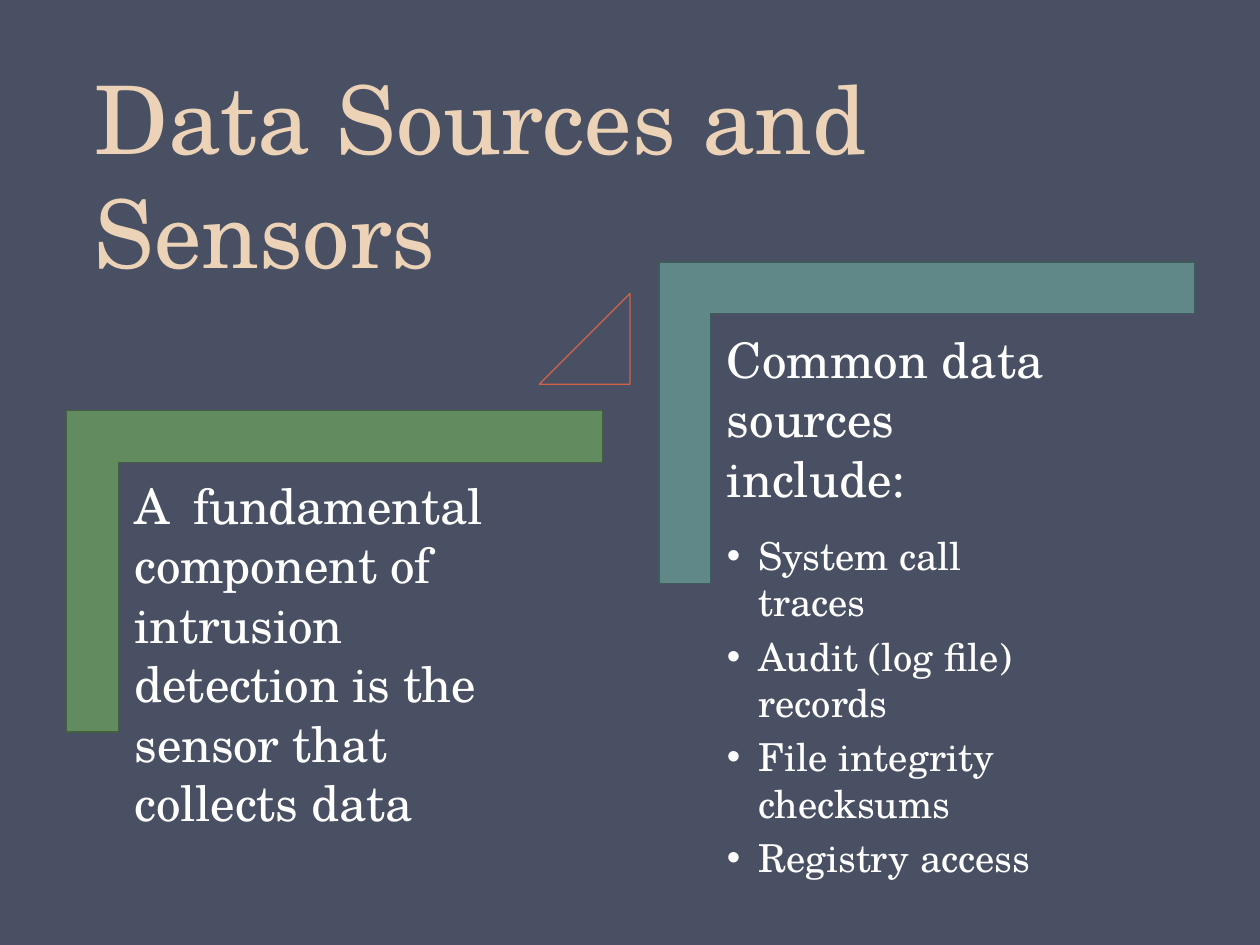
from lxml.etree import SubElement
from pptx import Presentation
from pptx.dml.color import RGBColor
from pptx.enum.text import MSO_ANCHOR, MSO_AUTO_SIZE, PP_ALIGN
from pptx.oxml.ns import qn
from pptx.util import Inches, Pt

FONT = "TeX Gyre Schola"
WHITE = "FFFFFF"


def set_color(color_format, hex_color):
    color_format.rgb = RGBColor.from_string(hex_color)


def set_attributes(target, values):
    for name, value in values.items():
        setattr(target, name, value)


def place_frame(placeholder, box, inset_top, inset_right=0):
    """Move a placeholder to its box and return its cleared text frame."""
    left, top, width, height = (Inches(length) for length in box)
    set_attributes(placeholder, {"left": left, "top": top, "width": width, "height": height})
    frame = placeholder.text_frame
    set_attributes(frame, {
        "margin_left": 0, "margin_top": Inches(inset_top),
        "margin_right": Inches(inset_right), "margin_bottom": 0,
        "word_wrap": True, "auto_size": MSO_AUTO_SIZE.NONE,
        "vertical_anchor": MSO_ANCHOR.TOP,
    })
    return frame


def add_run(paragraph, text, size, color, tracking=0):
    run = paragraph.add_run()
    run.text = text
    set_attributes(run.font, {"name": FONT, "size": Pt(size), "bold": False})
    set_color(run.font.color, color)
    if tracking:
        run.font._element.set("spc", str(round(tracking * 100)))


def format_paragraph(paragraph, indent, hanging=0, bullet=None, before=0, spacing=1.0):
    properties = paragraph._p.get_or_add_pPr()
    properties.set("marL", str(Inches(indent)))
    properties.set("indent", str(-Inches(hanging)))
    if bullet:
        SubElement(properties, qn("a:buChar"), char=bullet)
        tabs = SubElement(properties, qn("a:tabLst"))
        SubElement(tabs, qn("a:tab"), pos=str(Inches(indent)), algn="l")
    else:
        SubElement(properties, qn("a:buNone"))
    set_attributes(paragraph, {
        "alignment": PP_ALIGN.LEFT, "line_spacing": spacing,
        "space_before": Pt(before), "space_after": Pt(0),
    })


def add_outline(slide, points, line_color, fill_color=None):
    """Draw a closed polygon through points given in inches."""
    start, *rest = [(Inches(x), Inches(y)) for x, y in points]
    builder = slide.shapes.build_freeform(*start, scale=1.0)
    builder.add_line_segments(rest, close=True)
    outline = builder.convert_to_shape()
    outline.shadow.inherit = False
    if fill_color:
        outline.fill.solid()
        set_color(outline.fill.fore_color, fill_color)
    else:
        outline.fill.background()
    outline.line.width = Pt(0.72)
    set_color(outline.line.color, line_color)


def add_title(placeholder, box):
    frame = place_frame(placeholder, box, inset_top=0.55)
    title = frame.paragraphs[0]
    format_paragraph(title, indent=0.04)
    add_run(title, "Data Sources and Sensors", 54, "ECD2B6")


def add_bracket(slide, box, fill_color, line_color, thickness=0.41):
    left, top, width, height = box
    right, bottom = left + width, top + height
    inner_left, inner_top = left + thickness, top + thickness
    add_outline(slide, [
        (left, top), (right, top), (right, inner_top),
        (inner_left, inner_top), (inner_left, bottom), (left, bottom),
    ], line_color, fill_color)


def add_triangle(slide, box):
    left, top, width, height = box
    right, bottom = left + width, top + height
    add_outline(slide, [(left, bottom), (right, top), (right, bottom)], "D16248")


def add_sensor_text(placeholder, box):
    frame = place_frame(placeholder, box, inset_top=0.02)
    statement = frame.paragraphs[0]
    format_paragraph(statement, indent=0.01, spacing=1.01)
    add_run(statement, "A ", 28, WHITE, tracking=2.8)
    add_run(statement, "fundamental component of intrusion detection is the "
            "sensor that collects data", 28, WHITE, tracking=-0.1)


def add_source_list(placeholder, box):
    frame = place_frame(placeholder, box, inset_top=0.02, inset_right=0.9)
    heading = frame.paragraphs[0]
    format_paragraph(heading, indent=0.01, spacing=1.01)
    add_run(heading, "Common data sources include:", 28, WHITE)

    sources = ["System call traces", "Audit (log file) records",
               "File integrity checksums", "Registry access"]
    for index, source in enumerate(sources):
        item = frame.add_paragraph()
        format_paragraph(item, indent=0.26, hanging=0.25, bullet="•",
                         before=4.8 if index else 14.2)
        add_run(item, source, 22, WHITE)


def main():
    presentation = Presentation()
    presentation.slide_width, presentation.slide_height = Inches(10), Inches(7.5)
    slide = presentation.slides.add_slide(presentation.slide_layouts[3])
    title, sensor_body, source_body = slide.placeholders

    # Background and title
    slide.background.fill.solid()
    set_color(slide.background.fill.fore_color, "4A5063")
    add_title(title, (0.71, -0.07, 8.58, 2.15))

    # Sensor statement on the left
    add_bracket(slide, (0.53, 3.26, 4.25, 2.55), "638B60", "435E40")
    add_sensor_text(sensor_body, (1.06, 3.75, 3.28, 2.38))

    # Step marker between the two parts
    add_triangle(slide, (4.28, 2.33, 0.72, 0.72))

    # Data sources on the right
    add_bracket(slide, (5.23, 2.08, 4.25, 2.55), "608889", "415B5C")
    add_source_list(source_body, (5.76, 2.59, 3.56, 2.83))

    presentation.save("out.pptx")


if __name__ == "__main__":
    main()
